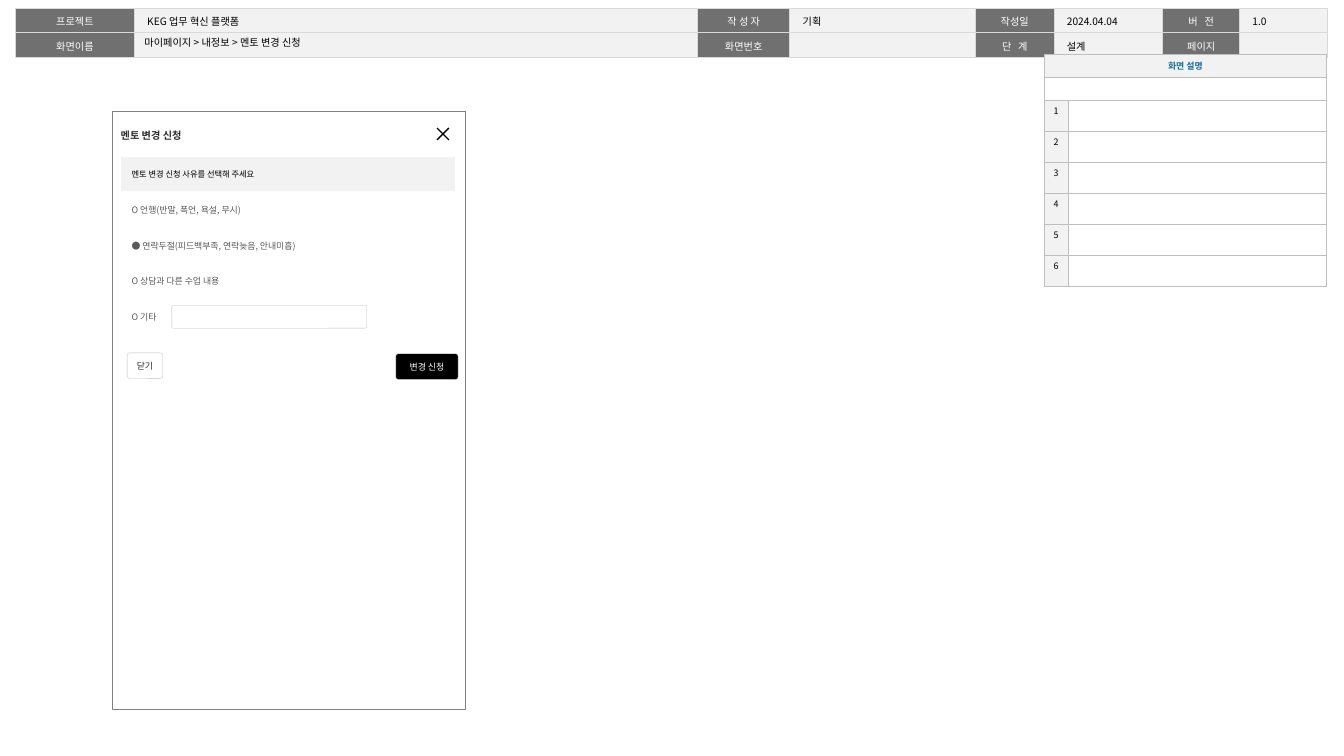
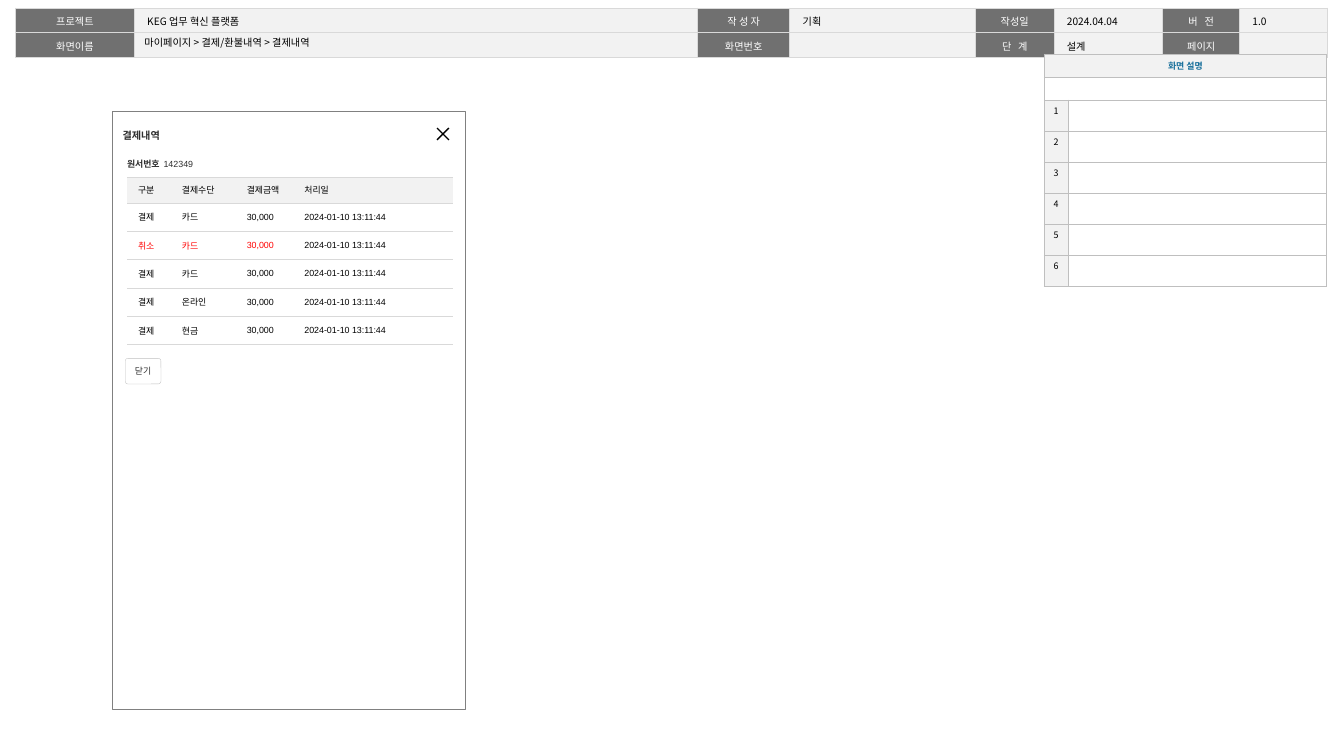
from dataclasses import dataclass, replace
from lxml.etree import SubElement
from pptx import Presentation
from pptx.dml.color import RGBColor
from pptx.enum.shapes import MSO_CONNECTOR as CONN, MSO_SHAPE as SHAPE
from pptx.enum.text import MSO_ANCHOR as ANCHOR, MSO_AUTO_SIZE as AUTO, PP_ALIGN as ALIGN
from pptx.oxml.ns import qn
from pptx.util import Inches, Pt

PLAIN_TABLE = "{2D5ABB26-0587-4C30-8999-92F81FD0307C}"


@dataclass(frozen=True)
class Theme:
    black: str = "000000"
    ink: str = "2E2E2E"
    option: str = "595959"
    label: str = "707070"
    frame: str = "808080"
    edge: str = "BFBFBF"
    rule: str = "D9D9D9"
    pale: str = "F2F2F2"
    white: str = "FFFFFF"
    accent: str = "176F9B"
    alert: str = "FF0000"
    cjk: str = "Noto Sans CJK KR"
    latin: str = "Arial"
    head: float = 8
    body: float = 7
    small: float = 6.5


T = Theme()


@dataclass(frozen=True)
class Style:
    size: float
    color: str = T.black
    font: str = T.latin
    bold: bool = False
    align: ALIGN = ALIGN.LEFT
    leading: float = 1.0
    tracking: int = 0


# Text styles
VALUE = Style(T.head, font=T.cjk, leading=1.05)
LABEL = replace(VALUE, color=T.white, align=ALIGN.CENTER)
SPREAD = replace(LABEL, tracking=180)
TITLE = replace(VALUE, leading=1.0)
NUMBER = Style(T.body, font=T.cjk, align=ALIGN.CENTER)
GUIDE_HEAD = replace(NUMBER, color=T.accent, bold=True)
HEADING = Style(T.head, T.ink, bold=True, leading=1.5)
FIELD = replace(HEADING, size=T.body)
BUTTON = Style(T.body, T.ink, align=ALIGN.CENTER)
CELL = Style(T.body)
CANCELLED = replace(CELL, color=T.alert)
PROMPT = Style(T.small)
OPTION = Style(T.body, T.option, T.cjk)

CELL_INSETS = (0.12, 0.05, 0.08, 0.05)


def rgb(value):
    return RGBColor.from_string(value)


def box(*lengths):
    return [Inches(v) for v in lengths]


def set_insets(target, insets):
    (target.margin_left, target.margin_top,
     target.margin_right, target.margin_bottom) = box(*insets)


def write(p, text, style):
    p.alignment, p.line_spacing = style.align, style.leading
    f = p.font
    f.name, f.size, f.bold = style.font, Pt(style.size), style.bold
    f.color.rgb = rgb(style.color)
    props = p._p.pPr.find(qn("a:defRPr"))
    SubElement(props, qn("a:ea"), typeface=T.cjk)
    if style.tracking:
        props.set("spc", str(style.tracking))
    if text:
        p.add_run().text = text
    else:
        SubElement(p._p, qn("a:endParaRPr"), sz=str(int(style.size * 100)))


def set_border(cell, sides, color, width):
    tc_pr = cell._tc.get_or_add_tcPr()
    for side in sides:
        ln = SubElement(tc_pr, qn(f"a:ln{side}"), w=str(Pt(width)))
        SubElement(SubElement(ln, qn("a:solidFill")), qn("a:srgbClr"), val=color)


class Deck:
    def __init__(self):
        self.prs = Presentation()
        self.prs.slide_width, self.prs.slide_height = box(14.7, 8.27)
        self.layout = self.prs.slide_layouts[5]
        self.s = None

    def slide(self, title):
        self.s = self.prs.slides.add_slide(self.layout)
        sp = self.s.shapes.title
        sp.left, sp.top, sp.width, sp.height = box(1.47, 0.38, 3.85, 0.16)
        tf = sp.text_frame
        tf.auto_size, tf.vertical_anchor = AUTO.NONE, ANCHOR.MIDDLE
        set_insets(tf, (0.11, 0.05, 0.11, 0.05))
        write(tf.paragraphs[0], title, TITLE)

    def share(self, *shapes):
        """Moves shapes from the slide to the layout, so all slides show them."""
        for sp in shapes:
            self.layout.shapes._spTree.append(sp._element)

    def table(self, at, cols, rows, cells, insets, anchor=ANCHOR.TOP, border=None):
        """Each cell is (text, style, fill)."""
        frame = self.s.shapes.add_table(
            len(rows), len(cols), *box(*at, sum(cols), sum(rows)))
        table = frame.table
        table.first_row = table.horz_banding = False
        table._tbl.tblPr.find(qn("a:tableStyleId")).text = PLAIN_TABLE
        for col, width in zip(table.columns, cols):
            col.width = Inches(width)
        for row, height in zip(table.rows, rows):
            row.height = Inches(height)
        for r, line in enumerate(cells):
            for c, (text, style, fill) in enumerate(line):
                cell = table.cell(r, c)
                if border:
                    set_border(cell, *border)
                cell.fill.solid()
                cell.fill.fore_color.rgb = rgb(fill)
                cell.vertical_anchor = anchor
                set_insets(cell, insets)
                write(cell.text_frame.paragraphs[0], text, style)
        return frame

    def shape(self, kind, at, fill=None, line=T.edge, width=0.25, radius=None):
        sp = self.s.shapes.add_shape(kind, *box(*at))
        sp.shadow.inherit = False
        if fill:
            sp.fill.solid()
            sp.fill.fore_color.rgb = rgb(fill)
        else:
            sp.fill.background()
        sp.line.color.rgb, sp.line.width = rgb(line), Pt(width)
        if radius is not None:
            sp.adjustments[0] = radius
        return sp

    def line(self, start, end):
        cx = self.s.shapes.add_connector(CONN.STRAIGHT, *box(*start, *end))
        cx.line.color.rgb, cx.line.width = rgb(T.black), Pt(1)
        SubElement(cx._element.spPr, qn("a:effectLst"))
        return cx

    def button(self, at, text, fill=T.white, style=BUTTON):
        sp = self.shape(SHAPE.ROUNDED_RECTANGLE, at, fill, radius=0.1)
        tf = sp.text_frame
        tf.word_wrap, tf.vertical_anchor = False, ANCHOR.MIDDLE
        set_insets(tf, (0.04, 0, 0.04, 0))
        write(tf.paragraphs[0], text, style)

    def text(self, at, text, style):
        tf = self.s.shapes.add_textbox(*box(*at)).text_frame
        tf.word_wrap = True
        set_insets(tf, (0, 0.05, 0, 0.05))
        p = tf.paragraphs[0]
        write(p, text, style)
        return p

    def chrome(self):
        """Document header, dialog outline and close mark."""
        rows = [
            [("프로젝트", LABEL), ("KEG 업무 혁신 플랫폼", VALUE), ("작 성 자", LABEL),
             ("기획", VALUE), ("작성일", LABEL), ("2024.04.04", VALUE),
             ("버 전", SPREAD), ("1.0", VALUE)],
            [("화면이름", LABEL), ("", VALUE), ("화면번호", LABEL), ("", VALUE),
             ("단 계", SPREAD), ("설계", VALUE), ("페이지", LABEL), ("", VALUE)],
        ]
        cells = [[(text, style, T.pale if style is VALUE else T.label)
                  for text, style in row] for row in rows]
        header = self.table(
            (0.17, 0.09), [1.3, 6.16, 1.01, 2.03, 0.86, 1.19, 0.84, 0.96],
            [0.24] * 2, cells, (0.14, 0.05, 0.14, 0.05), border=("LRTB", T.rule, 1))
        dialog = self.shape(SHAPE.RECTANGLE, (1.23, 1.22, 3.86, 6.54),
                            line=T.frame, width=0.5)
        self.share(header, dialog,
                   self.line((4.78, 1.4), (4.91, 1.53)),
                   self.line((4.91, 1.4), (4.78, 1.53)))

    def screen_guide(self):
        blank = ("", NUMBER, T.white)
        cells = [[("화면 설명", GUIDE_HEAD, T.pale), blank], [blank, blank]]
        cells += [[(str(n), NUMBER, T.pale), blank] for n in range(1, 7)]
        table = self.table((11.42, 0.59), [0.26, 2.83], [0.25] * 2 + [0.34] * 6, cells,
                           (0.04, 0.05, 0.04, 0.05), border=("LRTB", T.edge, 0.25)).table
        for r in range(2):
            table.cell(r, 0).merge(table.cell(r, 1))
        table.cell(0, 0).vertical_anchor = ANCHOR.MIDDLE


def mentor_change(deck):
    deck.slide("마이페이지 > 내정보 > 멘토 변경 신청")
    deck.chrome()
    deck.screen_guide()

    # Buttons
    deck.button((1.39, 3.86, 0.39, 0.28), "닫기")
    deck.button((4.33, 3.87, 0.68, 0.28), "변경 신청", T.black,
                replace(BUTTON, color=T.white))

    # Reasons to choose from
    options = ["O 언행(반말, 폭언, 욕설, 무시)",
               "● 연락두절(피드백부족, 연락늦음, 안내미흡)",
               "O 상담과 다른 수업 내용",
               "O 기타"]
    cells = [[("멘토 변경 신청 사유를 선택해 주세요", PROMPT, T.pale)]]
    cells += [[(option, OPTION, T.white)] for option in options]
    deck.table((1.32, 1.71), [3.66], [0.39] * len(cells), cells, CELL_INSETS,
               ANCHOR.MIDDLE, ("LT", T.white, 1))
    deck.shape(SHAPE.ROUNDED_RECTANGLE, (1.88, 3.34, 2.13, 0.25), T.white, radius=0.06)
    deck.text((1.32, 1.3, 1.98, 0.28), "멘토 변경 신청", HEADING)


def payment_history(deck):
    deck.slide("마이페이지 > 결제/환불내역 > 결제내역")
    deck.screen_guide()
    deck.text((1.34, 1.3, 1.98, 0.28), "결제내역", HEADING)
    deck.button((1.37, 3.92, 0.39, 0.28), "닫기")

    # Application number
    p = deck.text((1.39, 1.63, 2.85, 0.25), "원서번호 ", FIELD)
    r = p.add_run()
    r.text, r.font.bold = " 142349", False

    # Payments
    payments = [("결제", "카드"), ("취소", "카드"), ("결제", "카드"),
                ("결제", "온라인"), ("결제", "현금")]
    cells = [[(name, CELL, T.pale) for name in ("구분", "결제수단", "결제금액", "처리일")]]
    for kind, method in payments:
        style = CANCELLED if kind == "취소" else CELL
        cells.append([(text, style, T.white) for text in (kind, method, "30,000")]
                     + [("2024-01-10 13:11:44", CELL, T.white)])
    deck.table((1.39, 1.94), [0.48, 0.71, 0.63, 1.74], [0.28] + [0.31] * len(payments),
               cells, CELL_INSETS, ANCHOR.MIDDLE, ("TB", T.rule, 0.25))


def main():
    deck = Deck()
    mentor_change(deck)
    payment_history(deck)
    deck.prs.save("out.pptx")


if __name__ == "__main__":
    main()
